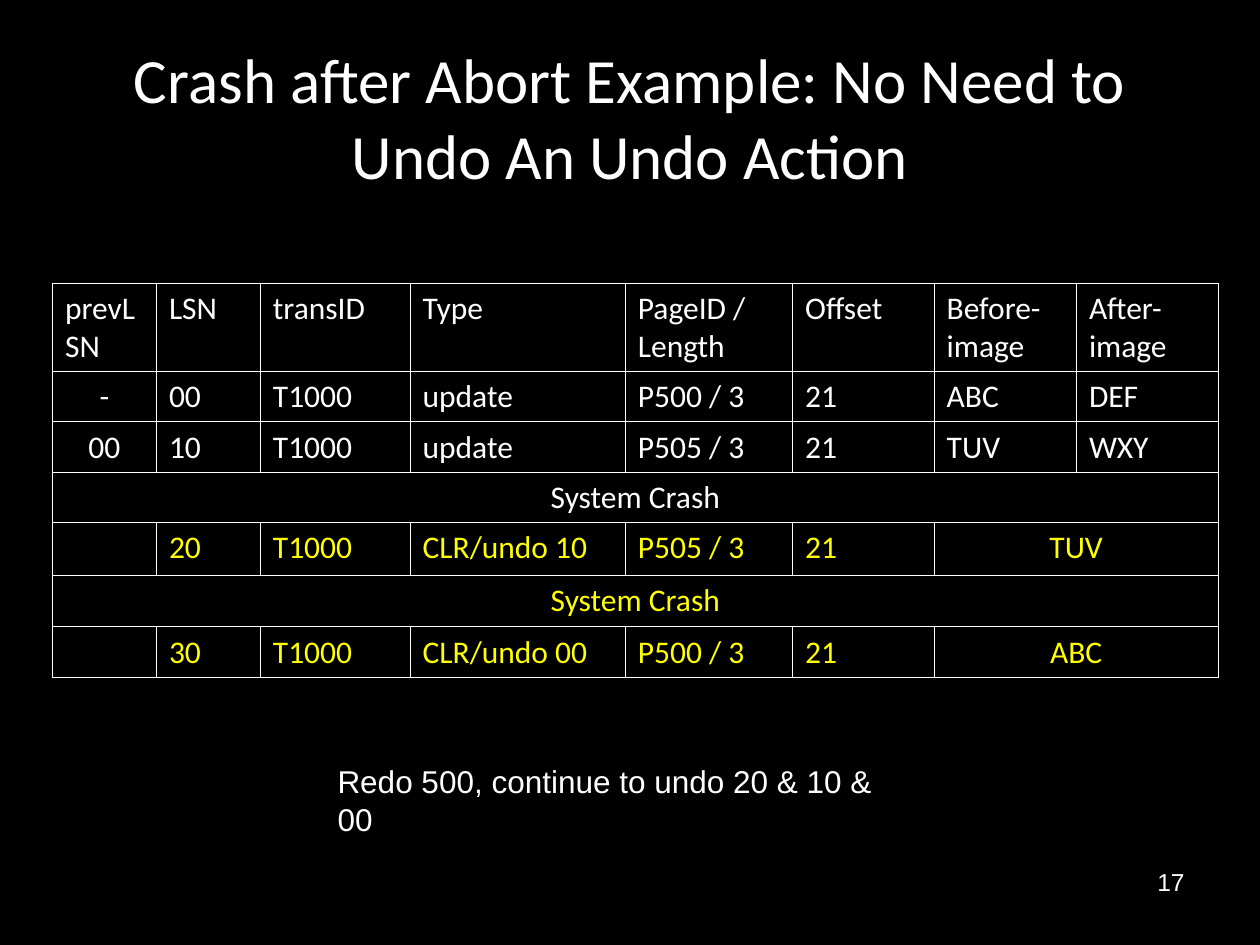
from lxml import etree
from pptx import Presentation
from pptx import util as u
from pptx.dml.color import RGBColor
from pptx.enum import text
from pptx.oxml import ns

WHITE, YELLOW, BLACK = "FFFFFF", "FFFF00", "000000"
LEFT, CENTER, RIGHT = text.PP_ALIGN.LEFT, text.PP_ALIGN.CENTER, text.PP_ALIGN.RIGHT

# Content: (text, (left, top, width, height), font, size, alignment, anchor, wrap)
TITLE = ("Crash after Abort Example: No Need to Undo An Undo Action",
         (36, 21.6, 648, 90), "Calibri", 36, CENTER, text.MSO_ANCHOR.MIDDLE, True)
CONCLUSION = ("Redo 500, continue to undo 20 & 10 & 00",
              (185.8, 432, 344, 28.8), "Arial", 18, LEFT, text.MSO_ANCHOR.TOP, False)
PAGE_NUMBER = ("17", (516.2, 491.8, 167.8, 37.4), "Arial", 14, RIGHT,
               text.MSO_ANCHOR.TOP, True)

# Log records: (colour, cells); the last cell of a short row spans the rest
LOG = [
    (WHITE, ["prevLSN", "LSN", "transID", "Type", "PageID / Length", "Offset",
             "Before-image", "After-image"]),
    (WHITE, ["-", "00", "T1000", "update", "P500 / 3", "21", "ABC", "DEF"]),
    (WHITE, ["00", "10", "T1000", "update", "P505 / 3", "21", "TUV", "WXY"]),
    (WHITE, ["System Crash"]),
    (YELLOW, ["", "20", "T1000", "CLR/undo 10", "P505 / 3", "21", "TUV"]),
    (YELLOW, ["System Crash"]),
    (YELLOW, ["", "30", "T1000", "CLR/undo 00", "P500 / 3", "21", "ABC"]),
]
LOG_LEFT, LOG_TOP = 30, 161.75
COLUMN_WIDTHS = [59.4, 59.4, 85.6, 123, 95.6, 80.9, 81.3, 81]
ROW_HEIGHTS = [50.4, 28.8, 28.8, 28.8, 30, 29.5, 28.8]


def rgb(value):
    return RGBColor.from_string(value)


def write(frame, words, font, size, color, align):
    paragraph = frame.paragraphs[0]
    paragraph.alignment = align
    run = paragraph.add_run()
    run.text = words
    run.font.name = font
    run.font.size = u.Pt(size)
    run.font.color.rgb = rgb(color)


def add_label(slide, words, place, font, size, align, anchor, wrap):
    frame = slide.shapes.add_textbox(*map(u.Pt, place)).text_frame
    frame.word_wrap = wrap
    frame.vertical_anchor = anchor
    write(frame, words, font, size, WHITE, align)


def outline(cell):
    properties = cell._tc.get_or_add_tcPr()
    for side in ("a:lnL", "a:lnR", "a:lnT", "a:lnB"):
        line = etree.SubElement(properties, ns.qn(side), w=str(u.Pt(0.45)))
        fill = etree.SubElement(line, ns.qn("a:solidFill"))
        etree.SubElement(fill, ns.qn("a:srgbClr"), val=WHITE)


def add_log(slide):
    log = slide.shapes.add_table(
        len(LOG), len(COLUMN_WIDTHS), u.Pt(LOG_LEFT), u.Pt(LOG_TOP),
        u.Pt(sum(COLUMN_WIDTHS)), u.Pt(sum(ROW_HEIGHTS))).table
    log.first_row = log.horz_banding = False
    for column, width in zip(log.columns, COLUMN_WIDTHS):
        column.width = u.Pt(width)
    for row, height in zip(log.rows, ROW_HEIGHTS):
        row.height = u.Pt(height)
    for cell in log.iter_cells():
        outline(cell)
        cell.fill.background()

    last_column = len(COLUMN_WIDTHS) - 1
    for r, (color, record) in enumerate(LOG):
        last = len(record) - 1
        spans = last < last_column
        if spans:
            log.cell(r, last).merge(log.cell(r, last_column))
        for c, words in enumerate(record):
            if words:
                centered = (c == 0 and r > 0) or (spans and c == last)
                write(log.cell(r, c).text_frame, words, "Calibri", 18, color,
                      CENTER if centered else LEFT)


def main():
    deck = Presentation()
    deck.slide_width, deck.slide_height = u.Pt(720), u.Pt(540)
    slide = deck.slides.add_slide(deck.slide_layouts[6])
    slide.background.fill.solid()
    slide.background.fill.fore_color.rgb = rgb(BLACK)

    add_label(slide, *PAGE_NUMBER)
    add_label(slide, *TITLE)
    add_log(slide)
    add_label(slide, *CONCLUSION)
    deck.save("out.pptx")


if __name__ == "__main__":
    main()
